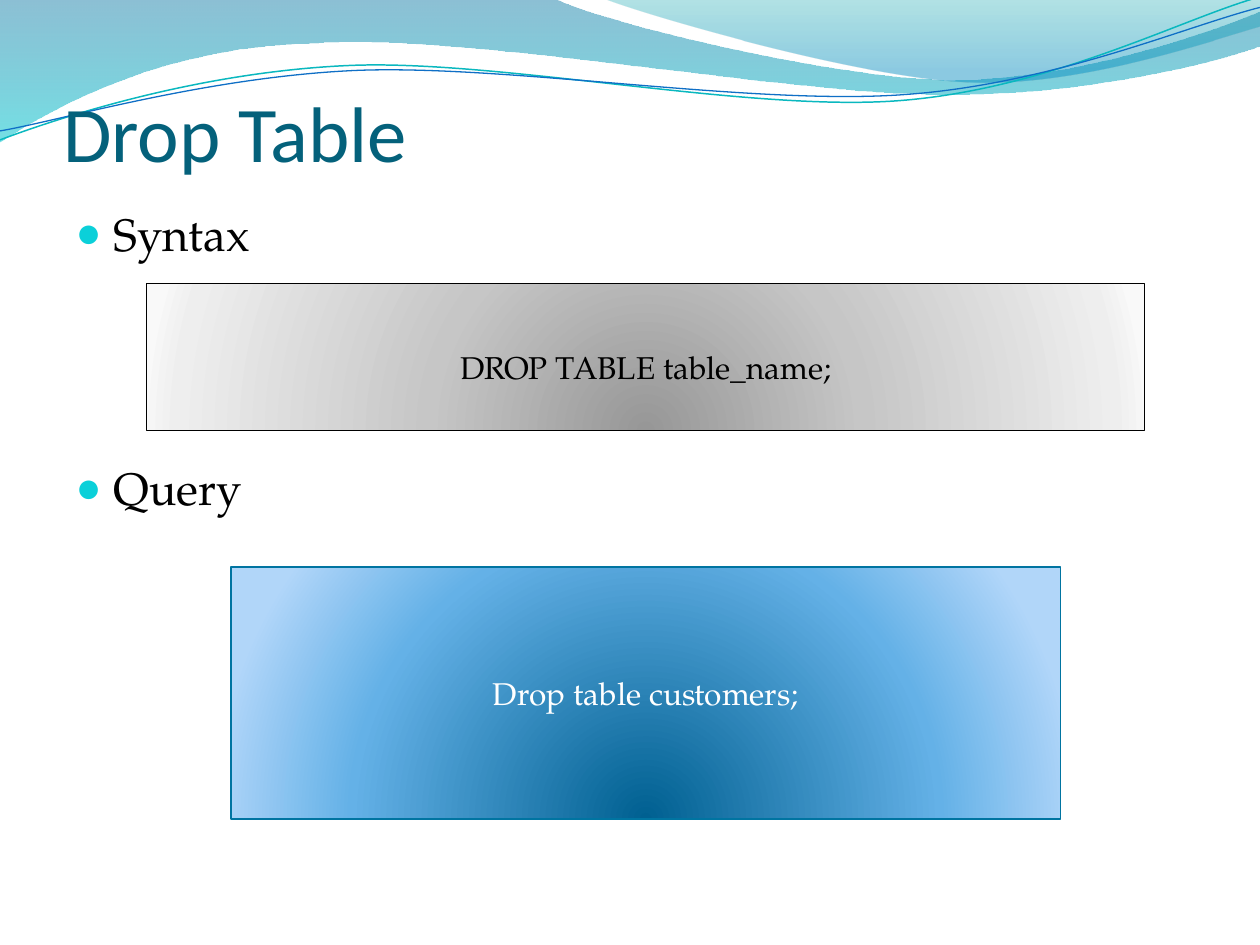
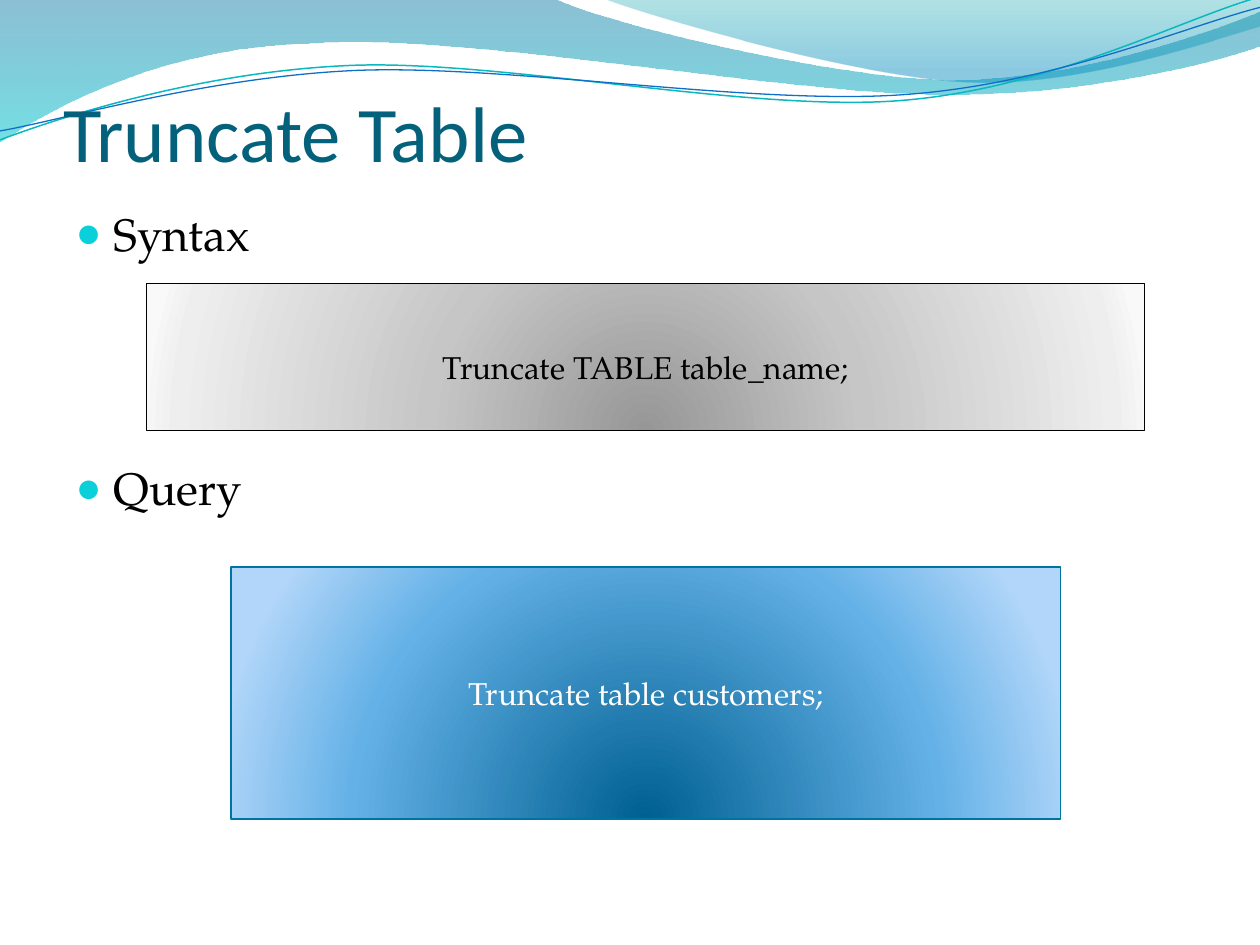
from math import cos, radians, sin

from pptx import Presentation
from pptx.dml.color import RGBColor as Rgb
from pptx.enum.shapes import MSO_SHAPE as Kind
from pptx.enum.text import MSO_ANCHOR as Anchor, MSO_AUTO_SIZE as Auto, PP_ALIGN as Align
from pptx.oxml import parse_xml as to_xml
from pptx.oxml.ns import nsdecls, qn
from pptx.util import Cm, Pt

INK = {
    "title": "04617B", "text": "000000", "light": "FFFFFF", "dot": "0BD0D9",
    "edge": "0074A1", "teal": "0AB8BF", "blue": "0F6FC6",
}
HEAD, BODY = "Calibri", "TeX Gyre Pagella"

DOWN = '<a:lin ang="5400000" scaled="0"/>'
ROUND = ('<a:path path="circle">'
         '<a:fillToRect l="50000" t="130000" r="50000" b="-30000"/></a:path>')
SEA = [(0, "0074A1", 45), (100, "00C6CF", 55)]
SKY = [(0, "00A1A9", 30), (80, "008BBF", 45)]
GREY = [(0, "979797", 100), (43, "C6C6C6", 100), (93, "EEEEEE", 100), (100, "F9F9F9", 100)]
DEEP = [(0, "006091", 100), (68, "64B1E7", 100), (100, "B1D6F9", 100)]

TILT = 2.7
BANDS = [
    ([[(0, 0)], [(11.18, -0.03)],
      [(12.09, 0.43), (16.87, 1.6), (19.25, 1.6)],
      [(21.67, 1.6), (24.33, 0.66), (25.4, 0.23)], [(25.43, 0.91)],
      [(24.97, 1.12), (22.1, 1.93), (18.95, 1.9)],
      [(15.8, 1.9), (9.7, 0.71), (6.53, 0.86)],
      [(3.28, 0.91), (1.17, 2.11), (-0.03, 2.87)], [(0, 0)]], SEA),
    ([[(12.17, -0.03)],
      [(12.93, 0.28), (17.32, 1.57), (19.53, 1.65)],
      [(21.74, 1.75), (24.41, 0.81), (25.4, 0.53)],
      [(25.4, 0)], [(12.17, -0.03)]], SKY),
]
CURVES = [
    ([[(0, 2.82)],
      [(1.22, 2.36), (4.01, 1.45), (7.04, 1.32)],
      [(10.03, 1.19), (15.06, 2.26), (18.11, 2.03)],
      [(21.16, 1.8), (23.83, 0.38), (25.35, -0.05)]], (12.67, 1.46), "teal", 0.85),
    ([[(0, 2.64)],
      [(1.19, 2.44), (4.17, 1.55), (7.19, 1.42)],
      [(10.24, 1.3), (15.16, 2.13), (18.21, 1.91)],
      [(21.23, 1.7), (23.9, 0.53), (25.4, 0.15)]], (12.69, 1.5), "blue", 0.75),
]
PAGES = [
    ("Drop Table", "DROP TABLE table_name;", "Drop table customers;"),
    ("Truncate Table", "Truncate TABLE table_name;", "Truncate table customers;"),
]


def put(para, text, size=18, font=BODY, ink="text", align=Align.LEFT, before=None, line=None):
    """Write one formatted run into a paragraph."""
    run = para.add_run()
    run.text = text
    run.font.size, run.font.name = Pt(size), font
    run.font.color.rgb = Rgb.from_string(INK[ink])
    para.alignment = align
    if before is not None:
        para.space_before = Pt(before)
    if line:
        para.line_spacing = line


def place(shape, left, top, width, height):
    """Move and size a shape in centimetres."""
    shape.left, shape.top = Cm(left), Cm(top)
    shape.width, shape.height = Cm(width), Cm(height)


def shade(shape, stops, form):
    """Fill a shape with a gradient of (place, colour, opacity) stops."""
    marks = "".join(
        f'<a:gs pos="{pos * 1000}"><a:srgbClr val="{ink}">'
        f'<a:alpha val="{alpha * 1000}"/></a:srgbClr></a:gs>'
        for pos, ink, alpha in stops)
    shape.fill.background()
    props = shape.element.spPr
    grad = to_xml(f'<a:gradFill {nsdecls("a")} rotWithShape="1">'
                  f'<a:gsLst>{marks}</a:gsLst>{form}</a:gradFill>')
    props.replace(props.find(qn("a:noFill")), grad)


def stroke(shape, ink, width=0.75):
    """Set the outline of a shape."""
    shape.line.color.rgb = Rgb.from_string(INK[ink])
    shape.line.width = Pt(width)


def turn(parts, pivot, angle):
    """Turn all points clockwise about a pivot."""
    c, s = cos(radians(angle)), sin(radians(angle))
    px, py = pivot
    return [[(px + (x - px) * c - (y - py) * s, py + (x - px) * s + (y - py) * c)
             for x, y in part] for part in parts]


def wave(slide, parts, close):
    """Draw one outline, with each part of three points as a cubic curve."""
    first, *rest = [(Cm(x), Cm(y)) for part in parts for x, y in part]
    pen = slide.shapes.build_freeform(*first)
    pen.add_line_segments(rest, close=close)
    shape = pen.convert_to_shape()
    shape.shadow.inherit = False
    shape.fill.background()
    lines = iter(list(shape.element.iter(qn("a:lnTo"))))
    for part in parts[1:]:
        group = [next(lines) for _ in part]
        if len(group) == 3:
            cubic = to_xml(f'<a:cubicBezTo {nsdecls("a")}/>')
            group[0].addprevious(cubic)
            for line in group:
                cubic.append(line[0])
                line.getparent().remove(line)
    return shape


def adorn(deck, slide):
    """Draw the waves and move them to the back of the master."""
    waves = []
    for parts, stops in BANDS:
        band = wave(slide, parts, True)
        shade(band, stops, DOWN)
        band.line.fill.background()
        waves.append(band)
    for parts, pivot, ink, width in CURVES:
        curve = wave(slide, turn(parts, pivot, TILT), False)
        curve.rotation = -TILT
        stroke(curve, ink, width)
        waves.append(curve)
    tree = deck.slide_master.shapes.element
    for rank, shape in enumerate(waves):
        shape.element.nvSpPr.cNvPr.id = 20 + rank
        tree.insert(2 + rank, shape.element)


def head(slide, text):
    """Fill the title."""
    title = slide.shapes.title
    place(title, 1.27, 1.95, 22.86, 1.65)
    frame = title.text_frame
    frame.auto_size, frame.vertical_anchor = Auto.NONE, Anchor.BOTTOM
    frame.margin_left = frame.margin_right = frame.margin_bottom = 0
    frame.margin_top = Cm(0.13)
    put(frame.paragraphs[0], text, size=45, font=HEAD, ink="title")


def items(slide, rows):
    """Fill the bulleted body with (text, space before) rows."""
    body = slide.placeholders[1]
    place(body, 1.27, 4.02, 22.86, 13.54)
    frame = body.text_frame
    frame.auto_size = Auto.NONE
    for rank, (text, before) in enumerate(rows):
        para = frame.add_paragraph() if rank else frame.paragraphs[0]
        put(para, text, size=26, before=before)
        props = para._p.get_or_add_pPr()
        props.set("marL", str(Cm(0.76)))
        props.set("indent", str(-Cm(0.76)))
        for tag in (f'buClr {nsdecls("a")}><a:srgbClr val="{INK["dot"]}"/></a:buClr>',
                    f'buSzPct {nsdecls("a")} val="95000"/>',
                    f'buChar {nsdecls("a")} char="●"/>'):
            props.append(to_xml("<a:" + tag))


def box(slide, area, text, stops, edge, **style):
    """Add a shaded box with a line of code."""
    shape = slide.shapes.add_shape(Kind.RECTANGLE, *map(Cm, area))
    shape.shadow.inherit = False
    shade(shape, stops, ROUND)
    stroke(shape, edge)
    shape.text_frame.word_wrap = True
    shape.text_frame.vertical_anchor = Anchor.MIDDLE
    put(shape.text_frame.paragraphs[0], text, align=Align.CENTER, **style)


def main():
    """Build and save the deck."""
    deck = Presentation()
    deck.slide_width, deck.slide_height = Cm(25.4), Cm(19.05)
    for rank, (title, syntax, query) in enumerate(PAGES):
        slide = deck.slides.add_slide(deck.slide_layouts[1])
        if not rank:
            adorn(deck, slide)
        head(slide, title)
        items(slide, [("Syntax", None), ("Query", 114)])
        box(slide, (2.96, 5.72, 20.12, 2.96), syntax, GREY, "text", line=1.5)
        box(slide, (4.66, 11.43, 16.72, 5.08), query, DEEP, "edge", ink="light")
    deck.save("out.pptx")


main()
